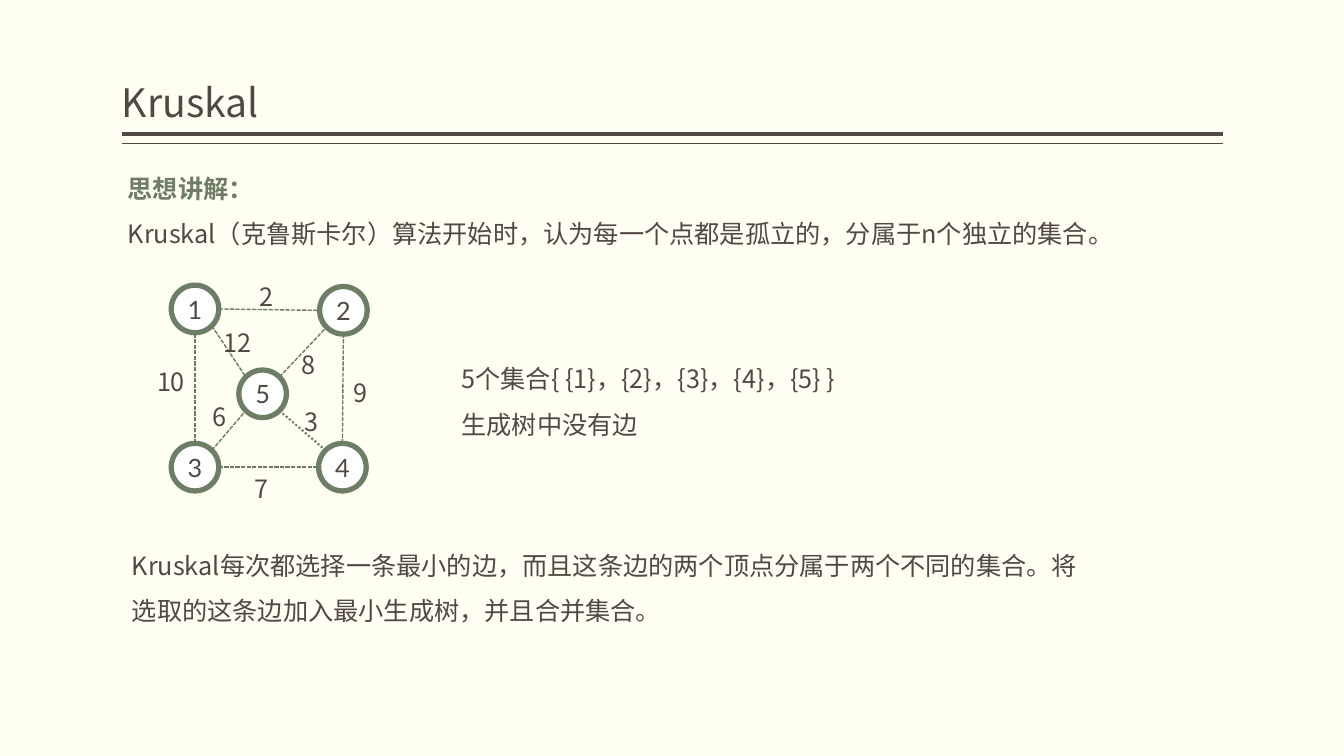
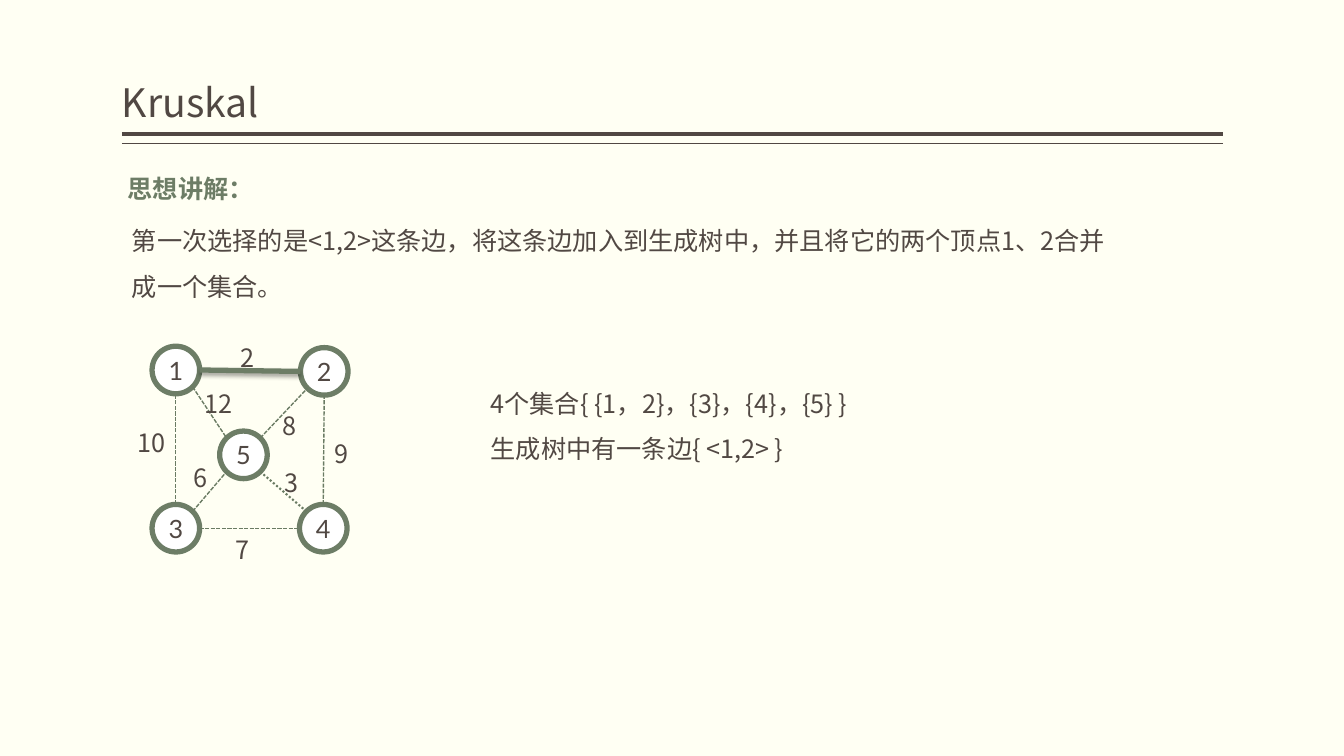
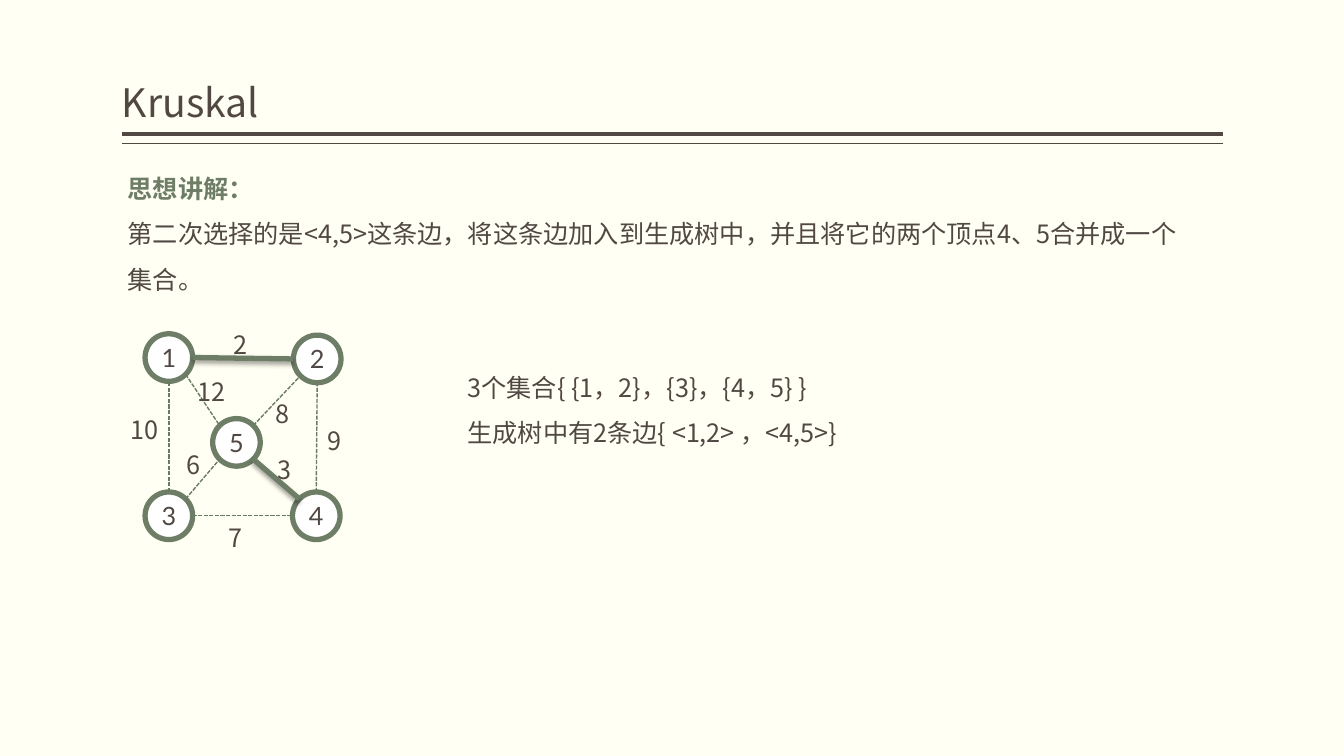
from lxml import etree
from pptx import Presentation
from pptx.dml.color import RGBColor
from pptx.enum import dml, shapes as kinds, text
from pptx.oxml import parse_xml
from pptx.oxml.ns import nsdecls, qn
from pptx.util import Pt

INK, GREEN, EDGE_GREEN, CREAM, WHITE = "514843", "6D7D66", "6A7B63", "FFFFF3", "FFFFFF"
BODY_FONT, NODE_FONT = "Noto Sans CJK SC", "Lato"
HEADING = "思想讲解："
BODY_PITCH, LABEL_PITCH, TITLE_PITCH = 32.4, 21.6, 30.2

# Node centres and label corners, measured from the centre of node 1
RADIUS = 17
NODES = {"1": (0, 0), "2": (106, 1), "5": (48.3, 60.6), "3": (0, 113), "4": (105.3, 113)}
# Ends, direction of the edge, weight, label corner
EDGES = [
    ("12", (1, 0), "2", (39.2, -23.4)),
    ("54", (1, 1), "3", (70.9, 65.9)),
    ("15", (1, 1), "12", (13.3, 9.7)),
    ("31", (0, -1), "10", (-34.2, 37.1)),
    ("34", (1, 0), "7", (35.6, 114.1)),
    ("42", (0, -1), "9", (106.2, 45)),
    ("52", (1, -1), "8", (68.8, 25.6)),
    ("35", (1, -1), "6", (5.4, 62.3)),
]

# Centre of node 1, chosen edges, text boxes as (left, top, width, lines)
SLIDES = [
    ((139.3, 220.7), [], [
        (84.2, 109.4, 780, [HEADING, "Kruskal（克鲁斯卡尔）算法开始时，认为每一个点都是孤立的，分属于n个独立的集合。"]),
        (322.6, 245.5, 540, ["5个集合{ {1}，{2}，{3}，{4}，{5} }", "生成树中没有边"]),
        (87.1, 378.7, 697, ["Kruskal每次都选择一条最小的边，而且这条边的两个顶点分属于两个不同的集合。"
                            "将选取的这条边加入最小生成树，并且合并集合。"]),
    ]),
    ((125.6, 264.3), ["12"], [
        (84.2, 109.4, 780, [HEADING]),
        (87.1, 146.9, 711, ["第一次选择的是<1,2>这条边，将这条边加入到生成树中，"
                            "并且将它的两个顶点1、2合并成一个集合。"]),
        (343.4, 262.8, 340, ["4个集合{ {1，2}，{3}，{4}，{5} }", "生成树中有一条边{ <1,2> }"]),
    ]),
    ((120.6, 255.4), ["12", "54"], [
        (84.2, 109.4, 780, [HEADING, "第二次选择的是<4,5>这条边，将这条边加入到生成树中，"
                                     "并且将它的两个顶点4、5合并成一个集合。"]),
        (326.9, 251.3, 540, ["3个集合{ {1，2}，{3}，{4，5} }", "生成树中有2条边{ <1,2> ，<4,5>}"]),
    ]),
]


def write(shape, lines, pitch, size=18, font=BODY_FONT, align=text.PP_ALIGN.LEFT):
    """Fill a shape with paragraphs at a fixed line pitch."""
    frame = shape.text_frame
    frame.word_wrap = True
    frame.text = "\n".join(lines)
    for paragraph in frame.paragraphs:
        is_heading = paragraph.text == HEADING
        paragraph.alignment = align
        paragraph.line_spacing = Pt(pitch)
        paragraph.font.size = Pt(size)
        paragraph.font.bold = is_heading
        paragraph.font.color.rgb = RGBColor.from_string(GREEN if is_heading else INK)
        paragraph.font.name = font
        properties = paragraph._p.get_or_add_pPr().get_or_add_defRPr()
        etree.SubElement(properties, qn("a:ea"), typeface=font)


def draw_line(shapes, start, end, colour, width, dash=None, shadow=""):
    line = shapes.add_connector(kinds.MSO_CONNECTOR.STRAIGHT, *map(Pt, (*start, *end)))
    line.line.color.rgb = RGBColor.from_string(colour)
    line.line.width = Pt(width)
    if dash:
        line.line.dash_style = dash
    effects = parse_xml(f"<a:effectLst {nsdecls('a')}>{shadow}</a:effectLst>")
    line._element.spPr.append(effects)


SOFT_SHADOW = (f'<a:outerShdw blurRad="{Pt(3.5)}" dist="{Pt(2)}" dir="5400000" rotWithShape="0">'
               '<a:srgbClr val="000000"><a:alpha val="38000"/></a:srgbClr></a:outerShdw>')

presentation = Presentation()
presentation.slide_width, presentation.slide_height = Pt(960), Pt(540)
background = presentation.slide_master.background.fill
background.solid()
background.fore_color.rgb = RGBColor.from_string(CREAM)

for (origin_x, origin_y), chosen, boxes in SLIDES:
    slide = presentation.slides.add_slide(presentation.slide_layouts[6])
    for y, width in ((95.8, 3), (102.7, 1)):
        draw_line(slide.shapes, (87.1, y), (873.3, y), INK, width)

    title = slide.shapes.add_textbox(Pt(87.1), Pt(6.8), Pt(786.2), Pt(86.4))
    title.text_frame.margin_left = title.text_frame.margin_right = 0
    title.text_frame.vertical_anchor = text.MSO_ANCHOR.BOTTOM
    write(title, ["Kruskal"], TITLE_PITCH, size=28)

    for left, top, width, lines in boxes:
        box = slide.shapes.add_textbox(Pt(left), Pt(top), Pt(width), Pt(72))
        write(box, lines, BODY_PITCH)

    graph = slide.shapes.add_group_shape().shapes
    centres = {name: (origin_x + x, origin_y + y) for name, (x, y) in NODES.items()}
    for name, (x, y) in centres.items():
        node = graph.add_shape(kinds.MSO_SHAPE.OVAL, Pt(x - RADIUS), Pt(y - RADIUS),
                               Pt(2 * RADIUS), Pt(2 * RADIUS))
        node.shadow.inherit = False
        node.fill.solid()
        node.fill.fore_color.rgb = RGBColor.from_string(WHITE)
        node.line.color.rgb = RGBColor.from_string(GREEN)
        node.line.width = Pt(3.78)
        frame = node.text_frame
        frame.margin_left = frame.margin_right = frame.margin_top = frame.margin_bottom = 0
        frame.vertical_anchor = text.MSO_ANCHOR.MIDDLE
        write(node, [name], LABEL_PITCH, font=NODE_FONT, align=text.PP_ALIGN.CENTER)

    for ends, (dx, dy), weight, corner in EDGES:
        (x1, y1), (x2, y2) = (centres[end] for end in ends)
        reach = RADIUS / (dx * dx + dy * dy) ** 0.5
        start = (x1 + reach * dx, y1 + reach * dy)
        end = (x2 - reach * dx, y2 - reach * dy)
        if ends in chosen:
            draw_line(graph, start, end, GREEN, 3.78, shadow=SOFT_SHADOW)
        elif ends == "54":
            draw_line(graph, start, end, EDGE_GREEN, 1.5, dml.MSO_LINE.ROUND_DOT)
        else:
            draw_line(graph, start, end, EDGE_GREEN, 1, dml.MSO_LINE.SQUARE_DOT)

    for ends, direction, weight, (x, y) in EDGES:
        label = graph.add_textbox(Pt(origin_x + x), Pt(origin_y + y), Pt(42), Pt(28))
        write(label, [weight], LABEL_PITCH)

presentation.save("out.pptx")
